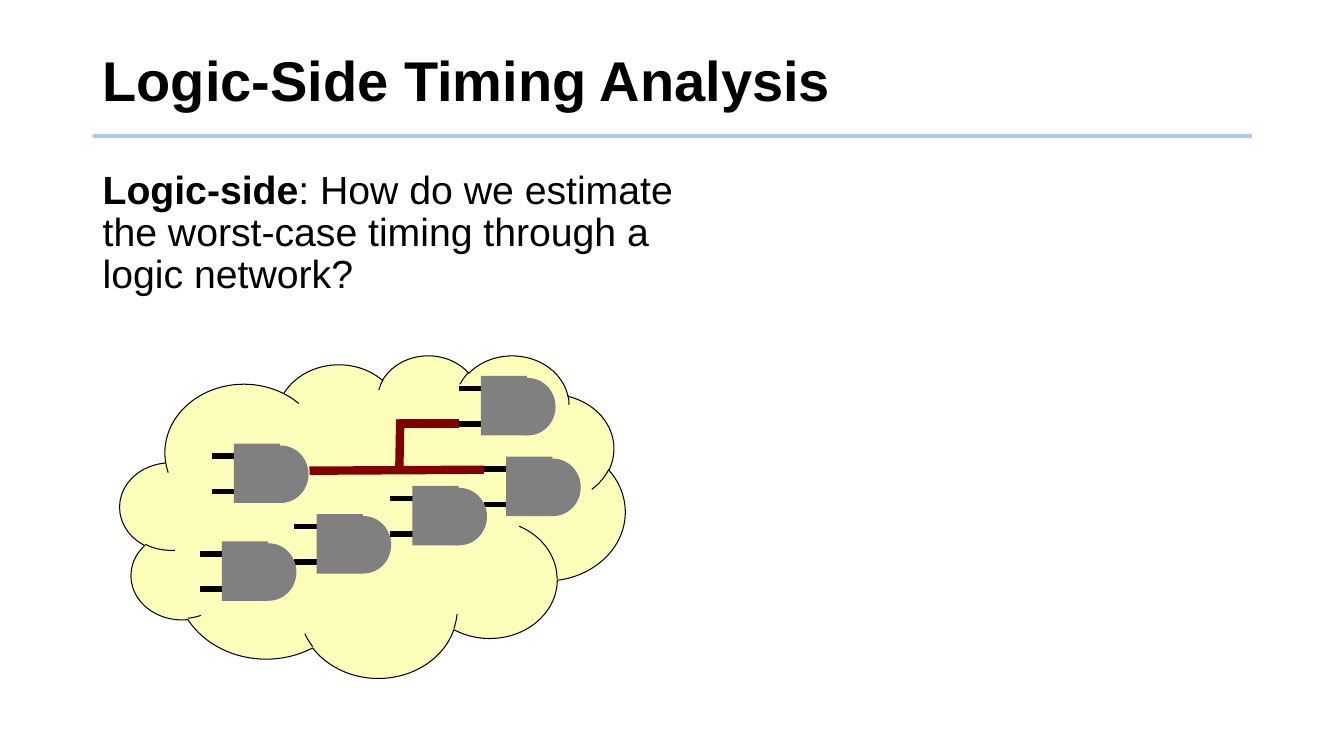
import pptx
import pptx.util
import pptx.dml.color
import pptx.enum.shapes
import pptx.enum.text
import pptx.oxml
import pptx.oxml.ns
import lxml.etree

Inches = pptx.util.Inches
Pt = pptx.util.Pt
SHAPES = pptx.enum.shapes.MSO_SHAPE
ANCHORS = pptx.enum.text.MSO_ANCHOR


def color(value):
    return pptx.dml.color.RGBColor.from_string(value)


def add_text(text, left, top, width, height, size, bold_lead="", anchor=ANCHORS.TOP, space_before=0):
    shape = slide.shapes.add_textbox(Inches(left), Inches(top), Inches(width), Inches(height))
    frame = shape.text_frame
    frame.word_wrap = True
    frame.vertical_anchor = anchor
    paragraph = frame.paragraphs[0]
    paragraph.line_spacing = 0.9
    paragraph.space_before = Pt(space_before)
    for words, bold in ((bold_lead, True), (text, False)):
        if words:
            run = paragraph.add_run()
            run.text = words
            run.font.name = "Arial"
            run.font.size = Pt(size)
            run.font.bold = bold
            run.font.color.rgb = color("000000")


presentation = pptx.Presentation()
presentation.slide_width = Inches(13.33)
presentation.slide_height = Inches(7.5)
slide = presentation.slides.add_slide(presentation.slide_layouts[6])

add_text("", 0.92, 0.28, 11.5, 1.1, 40, bold_lead="Logic-Side Timing Analysis", anchor=ANCHORS.MIDDLE)
add_text(": How do we estimate the worst-case timing through a logic network?",
         0.92, 1.64, 5.88, 1.86, 28, bold_lead="Logic-side", space_before=10)

network = slide.shapes.add_group_shape()
cloud = network.shapes.add_shape(SHAPES.CLOUD, Inches(1.19), Inches(3.52), Inches(5.01), Inches(3.2))
cloud.shadow.inherit = False
cloud.fill.solid()
cloud.fill.fore_color.rgb = color("FCFEB9")
cloud.line.color.rgb = color("000000")
cloud.line.width = Pt(0.75)

gates = [(1.98, 5.37), (2.92, 5.1), (3.87, 4.82), (2.1, 4.4), (4.8, 4.53), (4.55, 3.73)]
lines = [(slide.shapes, 0.92, 1.35, 12.42, 1.35, "5B9BD5", 3)]
for left, top in gates:
    for pin in (top + 0.125, top + 0.475):
        lines.append((network.shapes, left, pin, left + 0.29, pin, "000000", 4))
for wire in ((3.07, 4.67, 4.8, 4.66), (3.96, 4.2, 4.55, 4.2), (3.96, 4.69, 3.97, 4.16)):
    lines.append((network.shapes, *wire, "800000", 6))

for shapes, start_x, start_y, end_x, end_y, line_color, width in lines:
    connector = shapes.add_connector(pptx.enum.shapes.MSO_CONNECTOR.STRAIGHT, Inches(start_x),
                                     Inches(start_y), Inches(end_x), Inches(end_y))
    connector.line.color.rgb = color(line_color)
    connector.line.width = Pt(width)
    properties = connector._element.spPr
    lxml.etree.SubElement(properties, pptx.oxml.ns.qn("a:effectLst"))
    if shapes is slide.shapes:
        rule_color = properties.find(".//" + pptx.oxml.ns.qn("a:srgbClr"))
        lxml.etree.SubElement(rule_color, pptx.oxml.ns.qn("a:alpha"), val="50000")

for left, top in gates:
    for kind, offset_x, offset_y, width, height in ((SHAPES.RECTANGLE, 0.22, 0, 0.46, 0.59),
                                                    (SHAPES.OVAL, 0.41, 0.02, 0.55, 0.57)):
        body = network.shapes.add_shape(kind, Inches(left + offset_x), Inches(top + offset_y),
                                        Inches(width), Inches(height))
        body.shadow.inherit = False
        body.fill.solid()
        body.fill.fore_color.rgb = color("808080")
        body.line.fill.background()

presentation.save("out.pptx")
